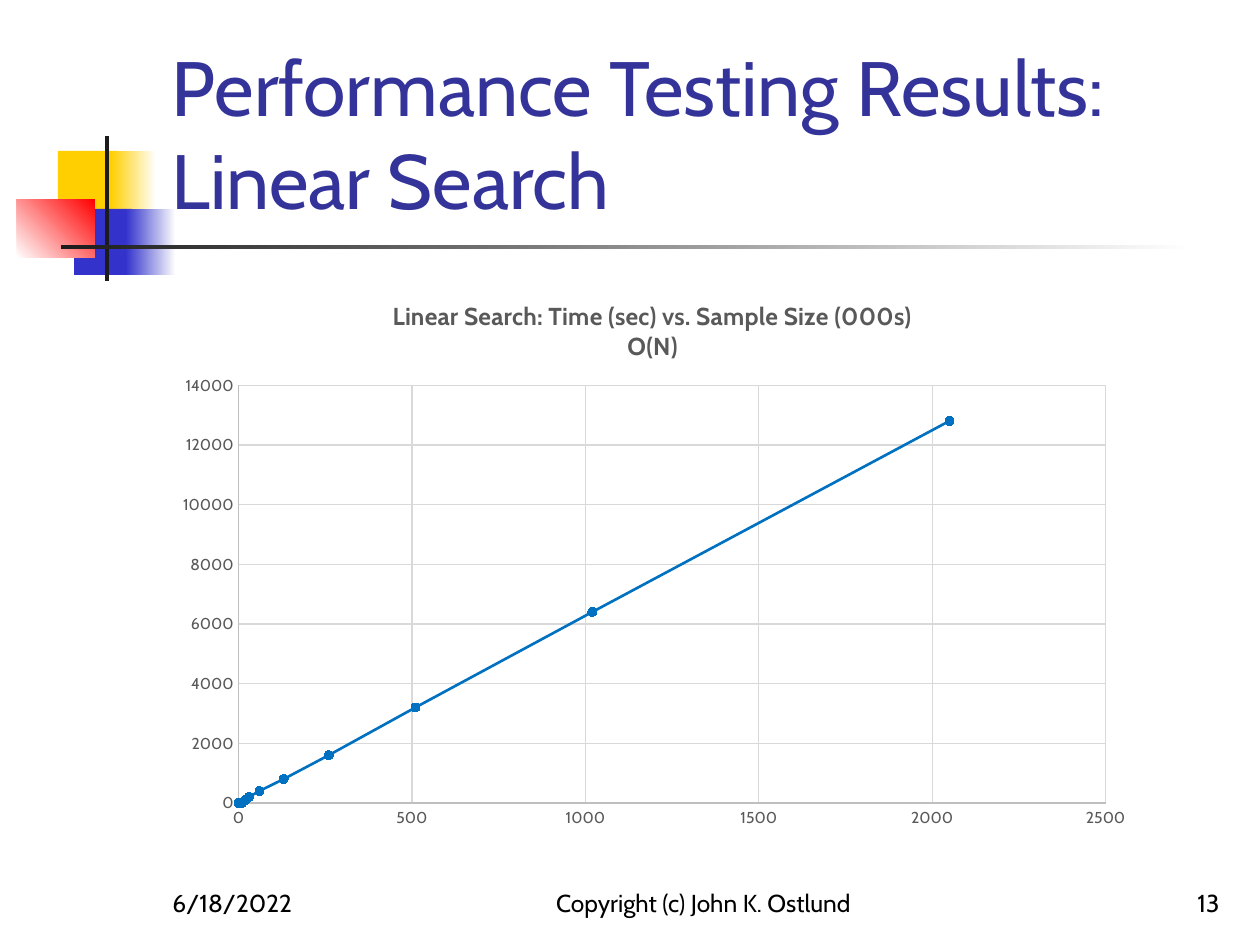
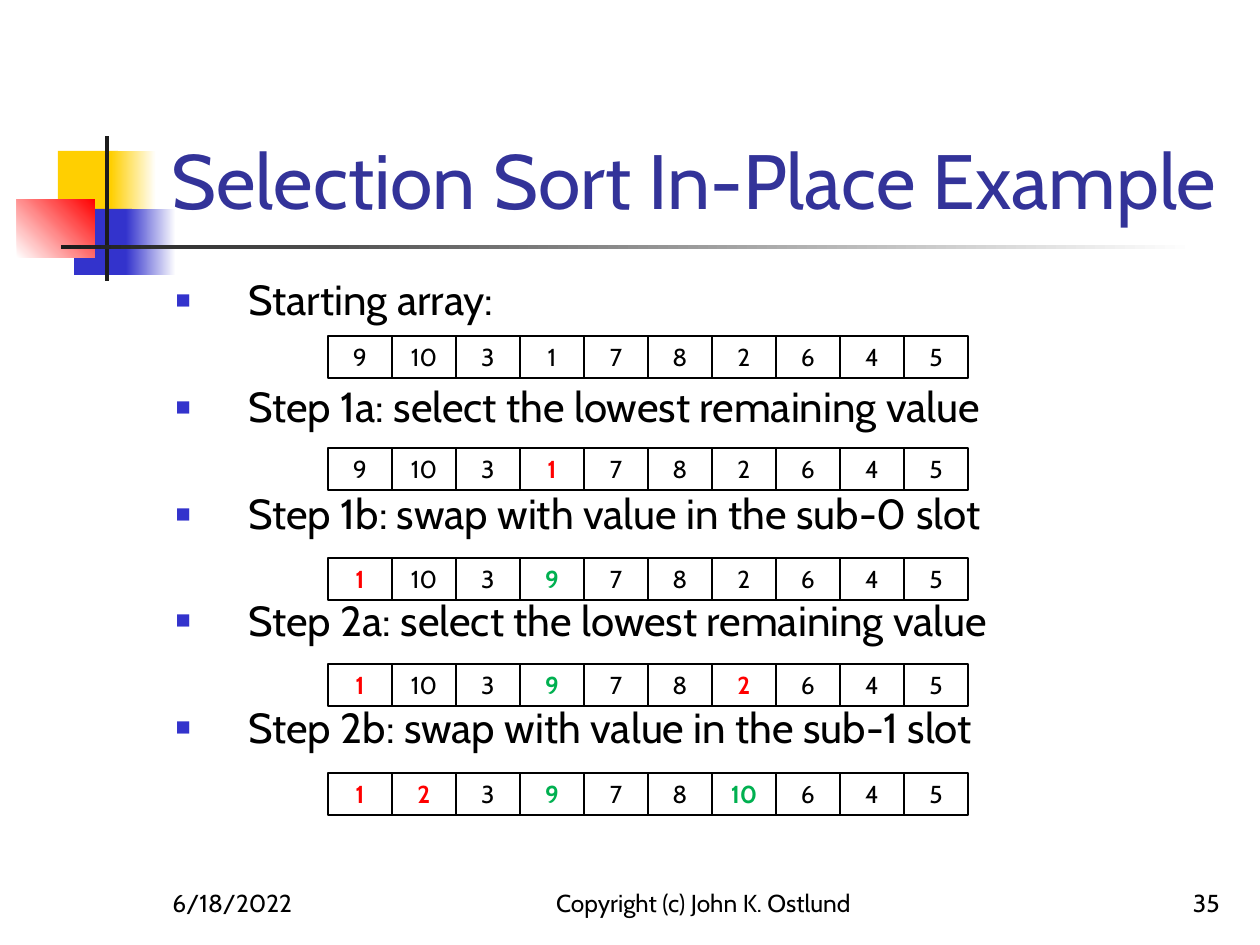
from lxml import etree
from pptx import Presentation
from pptx.chart.data import XyChartData
from pptx.dml.color import RGBColor
from pptx.enum import chart as charts, shapes, text
from pptx.oxml import ns
from pptx.util import Pt

PX = 7257  # EMU per pixel, 126 pixels to the inch
FONT = "Cabin"
BLACK, GREY, NAVY, BLUE, RED, GREEN = "000000", "595959", "333399", "3333CC", "FF0000", "00B050"
GOLD, INK, WHITE, SERIES = "FFCF01", "1C1C1C", "FFFFFF", "0070C0"
LEFT, CENTER, RIGHT = text.PP_ALIGN.LEFT, text.PP_ALIGN.CENTER, text.PP_ALIGN.RIGHT
colour = RGBColor.from_string


def scaled(*lengths):
    return [length * PX for length in lengths]


def style(font, size, hex_colour, bold=False):
    font.name, font.size, font.bold = FONT, Pt(size), bold
    font.color.rgb = colour(hex_colour)


deck = Presentation()
deck.slide_width, deck.slide_height = scaled(1260, 945)
chart_page = deck.slides.add_slide(deck.slide_layouts[5])
sort_page = deck.slides.add_slide(deck.slide_layouts[1])

# Master decoration: box, start colour, end colour (or none), angle
decoration = [
    ((58, 151, 60, 66), GOLD, None, 0),
    ((111, 151, 45, 66), GOLD, WHITE, 0),
    ((74, 209, 58, 66), BLUE, None, 0),
    ((126, 209, 50, 66), BLUE, WHITE, 0),
    ((17, 199, 78, 59), WHITE, RED, 45),
    ((105, 136, 4, 145), INK, None, 0),
    ((61, 245, 1134, 4), INK, WHITE, 0),
]
for position, (box, start, end, angle) in enumerate(decoration, 2):
    block = chart_page.shapes.add_shape(shapes.MSO_SHAPE.RECTANGLE, *scaled(*box))
    block.shadow.inherit = False
    block.line.fill.background()
    if end:
        block.fill.gradient()
        block.fill.gradient_angle = angle
        for stop, shade in zip(block.fill.gradient_stops, (start, end)):
            stop.color.rgb = colour(shade)
    else:
        block.fill.solid()
        block.fill.fore_color.rgb = colour(start)
    deck.slide_master.shapes.element.insert(position, block.element)

# Titles and footers
headings = [
    (chart_page, "Performance Testing Results: Linear Search", "13"),
    (sort_page, "Selection Sort In-Place Example", "35"),
]
for page, heading, number in headings:
    title = page.shapes.title
    title.left, title.top, title.width, title.height = scaled(159, 29, 1074, 202)
    frame = title.text_frame
    frame.text = heading
    frame.auto_size = text.MSO_AUTO_SIZE.NONE
    frame.vertical_anchor = text.MSO_ANCHOR.BOTTOM
    frame.paragraphs[0].alignment = LEFT
    style(frame.paragraphs[0].font, 44, NAVY)

    footers = [
        (970, 262, number, RIGHT),
        (160, 262, "6/18/2022", LEFT),
        (504, 399, "Copyright (c) John K. Ostlund", CENTER),
    ]
    for left, width, words, alignment in footers:
        frame = page.shapes.add_textbox(*scaled(left, 861, width, 63)).text_frame
        frame.word_wrap = True
        frame.vertical_anchor = text.MSO_ANCHOR.BOTTOM
        frame.text = words
        frame.paragraphs[0].alignment = alignment
        style(frame.paragraphs[0].font, 14, BLACK)

# Linear search chart
data = XyChartData()
timings = data.add_series("Series 1")
sizes = [0, 0, 0, 10, 20, 30, 60, 130, 260, 510, 1020, 2050]
seconds = [0, 0, 0, 0, 100, 200, 400, 800, 1600, 3200, 6400, 12800]
for size, second in zip(sizes, seconds):
    timings.add_data_point(size, second)
chart = chart_page.shapes.add_chart(
    charts.XL_CHART_TYPE.XY_SCATTER_LINES, *scaled(163, 273, 982, 567), data).chart
style(chart.font, 10, BLACK)
chart.has_legend = False
chart.plots[0].vary_by_categories = False

frame = chart.chart_title.text_frame
frame.text = "Linear Search: Time (sec) vs. Sample Size (000s)\nO(N)"
for para in frame.paragraphs:
    style(para.font, 14, GREY, True)

for axis, maximum, step in ((chart.category_axis, 2500, 500), (chart.value_axis, 14000, 2000)):
    axis.minimum_scale, axis.maximum_scale, axis.major_unit = 0, maximum, step
    axis.major_tick_mark = axis.minor_tick_mark = charts.XL_TICK_MARK.NONE
    axis.has_major_gridlines = True
    for line, shade in ((axis.format.line, "BFBFBF"), (axis.major_gridlines.format.line, "D9D9D9")):
        line.color.rgb = colour(shade)
        line.width = Pt(0.75)
    style(axis.tick_labels.font, 9, GREY)

series = chart.plots[0].series[0]
series.smooth = False
series.format.line.color.rgb = colour(SERIES)
series.format.line.width = Pt(1.5)
series.marker.style, series.marker.size = charts.XL_MARKER_STYLE.CIRCLE, 5
series.marker.format.fill.solid()
series.marker.format.fill.fore_color.rgb = colour(SERIES)
series.marker.format.line.color.rgb = colour(SERIES)

# Fixed places for the chart title and the plot, as shares of the chart
layouts = [
    (chart.chart_title.element, 1, dict(xMode="edge", yMode="edge", x=0.23, y=0.04)),
    (chart.element.find(".//" + ns.qn("c:plotArea")), 0,
     dict(layoutTarget="inner", xMode="edge", yMode="edge", x=0.077, y=0.198, w=0.883, h=0.737)),
]
for parent, position, settings in layouts:
    for old in parent.findall(ns.qn("c:layout")):
        parent.remove(old)
    layout = etree.Element(ns.qn("c:layout"))
    manual = etree.SubElement(layout, ns.qn("c:manualLayout"))
    for name, value in settings.items():
        etree.SubElement(manual, ns.qn("c:" + name), val=str(value))
    parent.insert(position, layout)

# Selection sort steps
steps = [
    "Starting array:",
    "Step 1a: select the lowest remaining value",
    "Step 1b: swap with value in the sub-0 slot",
    "Step 2a: select the lowest remaining value",
    "Step 2b: swap with value in the sub-1 slot",
]
body = sort_page.placeholders[1]
body.left, body.top, body.width, body.height = scaled(163, 273, 1071, 567)
frame = body.text_frame
frame.text = "\n".join(steps)
frame.auto_size = text.MSO_AUTO_SIZE.NONE
for index, para in enumerate(frame.paragraphs):
    props = para._p.get_or_add_pPr()
    props.set("marL", str(73 * PX))
    props.set("indent", str(-73 * PX))
    bullet_colour = etree.SubElement(props, ns.qn("a:buClr"))
    etree.SubElement(bullet_colour, ns.qn("a:srgbClr"), val=BLUE)
    etree.SubElement(props, ns.qn("a:buSzPct"), val="60000")
    etree.SubElement(props, ns.qn("a:buChar"), char="■")
    para.line_spacing = 0.9
    para.space_before = Pt(35.2 if index else 0)
    style(para.font, 24, BLACK)

# Array after each step: top, values, selected slots, swapped-out slots
arrays = [
    (336, [9, 10, 3, 1, 7, 8, 2, 6, 4, 5], [], []),
    (448, [9, 10, 3, 1, 7, 8, 2, 6, 4, 5], [3], []),
    (558, [1, 10, 3, 9, 7, 8, 2, 6, 4, 5], [0], [3]),
    (664, [1, 10, 3, 9, 7, 8, 2, 6, 4, 5], [0, 6], [3]),
    (773, [1, 2, 3, 9, 7, 8, 10, 6, 4, 5], [0, 1], [3, 6]),
]
for top, values, selected, swapped in arrays:
    row = sort_page.shapes.add_group_shape()
    for slot, value in enumerate(values):
        cell = row.shapes.add_shape(
            shapes.MSO_SHAPE.RECTANGLE, *scaled(328 + 64 * slot, top, 64, 42))
        cell.shadow.inherit = False
        cell.fill.background()
        cell.line.color.rgb = colour(BLACK)
        cell.line.width = Pt(0.75)
        cell.text_frame.text = str(value)
        cell.text_frame.auto_size = text.MSO_AUTO_SIZE.SHAPE_TO_FIT_TEXT
        para = cell.text_frame.paragraphs[0]
        para.alignment = CENTER
        shade = RED if slot in selected else GREEN if slot in swapped else BLACK
        style(para.font, 14, shade, shade != BLACK)

deck.save("out.pptx")
